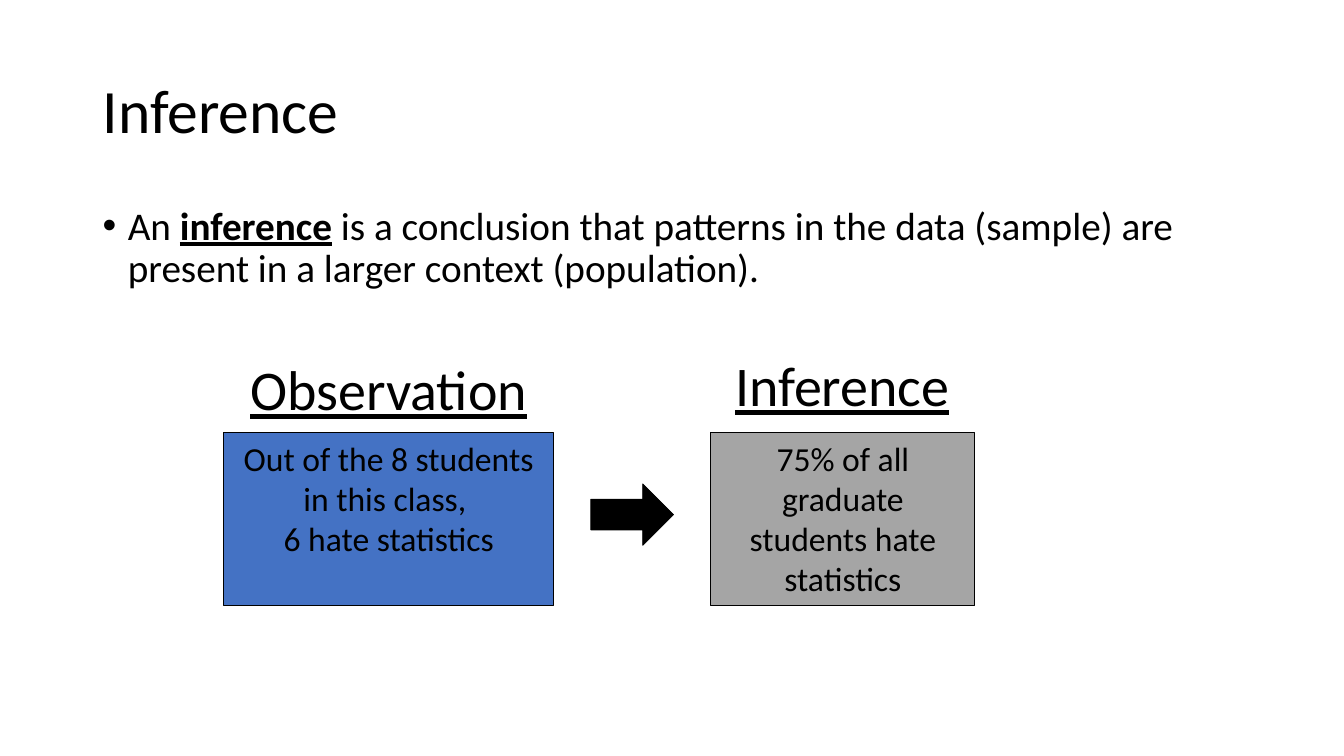
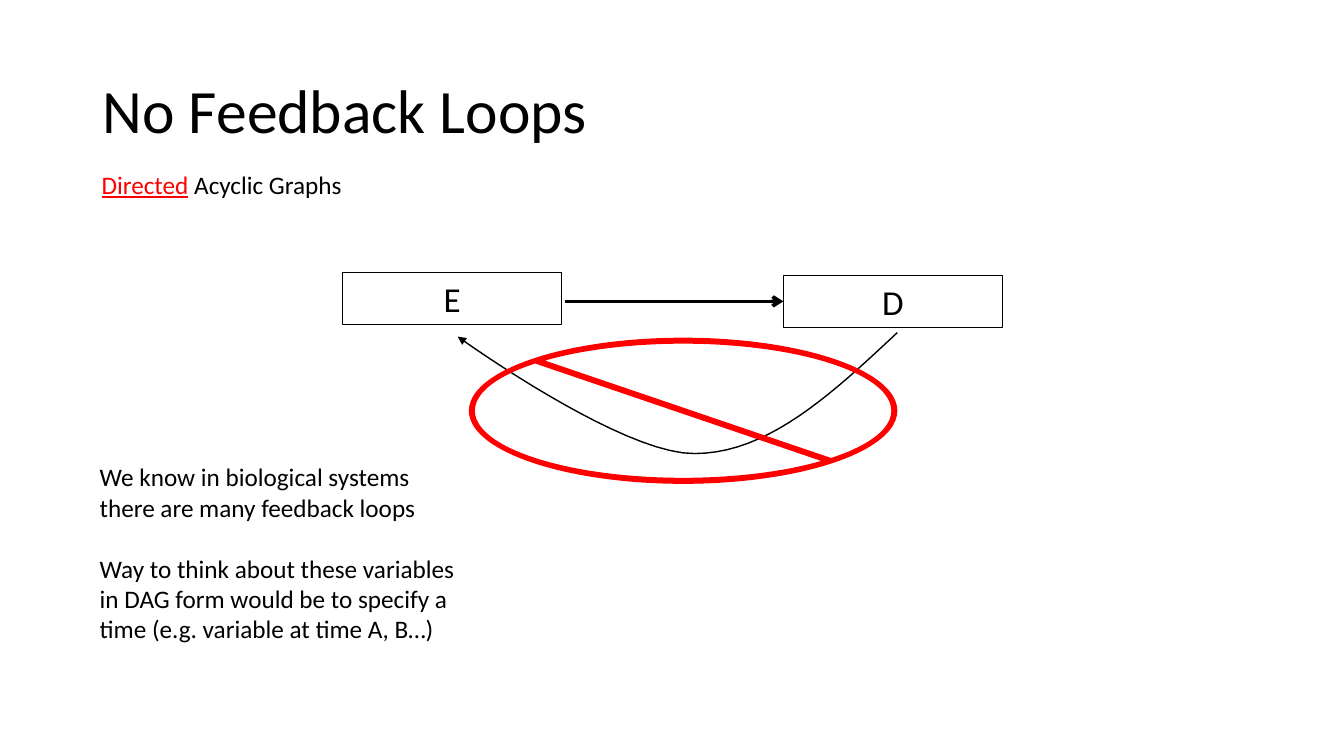
from lxml import etree
from pptx import Presentation
from pptx.dml.color import RGBColor
from pptx.enum.shapes import MSO_CONNECTOR as Connector, MSO_SHAPE as Preset
from pptx.enum.text import MSO_ANCHOR as Anchor, PP_ALIGN as Align
from pptx.oxml.ns import qn
from pptx.util import Inches, Pt

BLACK, RED, BLUE, GREY = "000000", "FF0000", "4472C4", "A5A5A5"
FONT = "Calibri"
TITLE_ONLY = 5
CURVE_STEPS = 20


def rgb(color):
    return RGBColor.from_string(color)


def bezier(start, control_a, control_b, end):
    """Return the points of a cubic curve, without its start."""
    points = []
    for step in range(1, CURVE_STEPS + 1):
        t = step / CURVE_STEPS
        weights = ((1 - t) ** 3, 3 * t * (1 - t) ** 2, 3 * t ** 2 * (1 - t), t ** 3)
        corners = (start, control_a, control_b, end)
        points.append(tuple(sum(w * c[axis] for w, c in zip(weights, corners))
                            for axis in (0, 1)))
    return points


class Deck:
    """Holds the shared style and the slide being filled."""

    def __init__(self):
        self.presentation = Presentation()
        self.presentation.slide_width = Inches(13.33)
        self.presentation.slide_height = Inches(7.5)
        self.slide = None

    def add_slide(self, title):
        layout = self.presentation.slide_layouts[TITLE_ONLY]
        self.slide = self.presentation.slides.add_slide(layout)
        heading = self.slide.shapes.title
        heading.left, heading.top = Inches(0.92), Inches(0.4)
        heading.width, heading.height = Inches(11.5), Inches(1.45)
        self.set_text(heading, [title], 44, anchor=Anchor.MIDDLE, line_spacing=0.9)

    def set_text(self, shape, paragraphs, size, align=Align.LEFT, anchor=Anchor.TOP,
                 line_spacing=None, gap=0, underline=None, bullet=False):
        """Fill a shape; a paragraph is a string or a list of (text, font settings)."""
        frame = shape.text_frame
        frame.word_wrap = True
        frame.vertical_anchor = anchor
        for index, content in enumerate(paragraphs):
            paragraph = frame.paragraphs[0] if index == 0 else frame.add_paragraph()
            if bullet:
                self.add_bullet(paragraph)
            paragraph.alignment = align
            if line_spacing:
                paragraph.line_spacing = line_spacing
            if index and gap:
                paragraph.space_before = Pt(gap)
            runs = [(content, {})] if isinstance(content, str) else content
            for text, settings in runs:
                run = paragraph.add_run()
                run.text = text
                font = run.font
                font.name, font.size = FONT, Pt(size)
                font.bold = settings.get("bold")
                font.underline = settings.get("underline", underline)
                font.color.rgb = rgb(settings.get("color", BLACK))

    def add_bullet(self, paragraph):
        properties = paragraph._p.get_or_add_pPr()
        properties.set("marL", str(Inches(0.25)))
        properties.set("indent", str(Inches(-0.25)))
        etree.SubElement(properties, qn("a:buFont")).set("typeface", "Arial")
        etree.SubElement(properties, qn("a:buChar")).set("char", "•")

    def add_text(self, left, top, width, height, paragraphs, size, **style):
        box = self.slide.shapes.add_textbox(
            Inches(left), Inches(top), Inches(width), Inches(height))
        self.set_text(box, paragraphs, size, **style)

    def paint(self, shape, fill=None, line=None, weight=0.75):
        shape.shadow.inherit = False
        if fill:
            shape.fill.solid()
            shape.fill.fore_color.rgb = rgb(fill)
        else:
            shape.fill.background()
        if line:
            shape.line.color.rgb = rgb(line)
            shape.line.width = Pt(weight)
        else:
            shape.line.fill.background()

    def add_shape(self, preset, left, top, width, height, fill=None, line=BLACK, weight=0.75):
        shape = self.slide.shapes.add_shape(
            preset, Inches(left), Inches(top), Inches(width), Inches(height))
        self.paint(shape, fill, line, weight)
        return shape

    def add_box(self, left, top, width, height, paragraphs, size, fill=None):
        box = self.add_shape(Preset.RECTANGLE, left, top, width, height, fill)
        self.set_text(box, paragraphs, size, align=Align.CENTER)

    def add_arrowhead(self, shape, kind):
        line = shape.line._get_or_add_ln()
        etree.SubElement(line, qn("a:tailEnd")).set("type", kind)

    def add_arrow(self, start, end, weight):
        arrow = self.slide.shapes.add_connector(
            Connector.STRAIGHT, *(Inches(value) for value in (*start, *end)))
        arrow.line.color.rgb = rgb(BLACK)
        arrow.line.width = Pt(weight)
        self.add_arrowhead(arrow, "arrow")
        etree.SubElement(arrow._element.spPr, qn("a:effectLst"))

    def add_curved_arrow(self, start, curves, weight):
        """Draw joined cubic curves, each given as two controls and an end."""
        points = [start]
        for curve in curves:
            points += bezier(points[-1], *curve)
        (first_x, first_y), *rest = [(Inches(x), Inches(y)) for x, y in points]
        builder = self.slide.shapes.build_freeform(first_x, first_y)
        builder.add_line_segments(rest, close=False)
        arrow = builder.convert_to_shape()
        self.paint(arrow, line=BLACK, weight=weight)
        self.add_arrowhead(arrow, "triangle")

    def add_ban_sign(self, left, top, width, height, thickness):
        sign = self.add_shape(Preset.NO_SYMBOL, left, top, width, height, RED, line=None)
        sign.adjustments[0] = thickness


def build_inference(deck):
    deck.add_slide("Inference")
    definition = [
        ("An ", {}),
        ("inference", {"bold": True, "underline": True}),
        (" is a conclusion that patterns in the data (sample) are present "
         "in a larger context (population).", {}),
    ]
    deck.add_text(0.92, 2, 11.5, 1.1, [definition], 28, line_spacing=0.9, bullet=True)

    for heading, left, top in (("Observation", 2.17, 3.47), ("Inference", 6.67, 3.43)):
        deck.add_text(left, top, 3.37, 0.77, [heading], 40,
                      align=Align.CENTER, underline=True)
    observation = ["Out of the 8 students in this class, ", "6 hate statistics"]
    conclusion = ["75% of all graduate students hate statistics"]
    for left, width, statement, fill in ((2.22, 3.27, observation, BLUE),
                                         (7.05, 2.62, conclusion, GREY)):
        deck.add_box(left, 4.29, width, 1.72, statement, 24, fill)
    deck.add_shape(Preset.RIGHT_ARROW, 5.86, 4.8, 0.82, 0.61, BLACK, weight=0.5)


def build_feedback_loops(deck):
    deck.add_slide("No Feedback Loops")
    for variable, left, top in (("E", 3.4, 2.7), ("D", 7.77, 2.73)):
        deck.add_box(left, top, 2.17, 0.52, [variable], 25)
    deck.add_arrow((5.6, 2.99), (7.77, 2.99), 2.5)
    deck.add_curved_arrow((8.9, 3.3), [
        ((8.26, 3.9), (7.62, 4.5), (6.89, 4.5)),
        ((6.16, 4.51), (4.54, 3.34), (4.54, 3.34)),
    ], 1)
    deck.add_ban_sign(4.65, 3.35, 4.25, 1.45, 0.041)
    deck.add_text(0.89, 4.53, 3.75, 2.22, [
        "We know in biological systems there are many feedback loops",
        "Way to think about these variables in DAG form would be to specify a time "
        "(e.g. variable at time A, B…)",
    ], 18, gap=22)
    subtitle = [("Directed", {"color": RED, "underline": True}), (" Acyclic Graphs", {})]
    deck.add_text(0.91, 1.63, 2.7, 0.4, [subtitle], 18)


def main():
    deck = Deck()
    build_inference(deck)
    build_feedback_loops(deck)
    deck.presentation.save("out.pptx")


if __name__ == "__main__":
    main()
